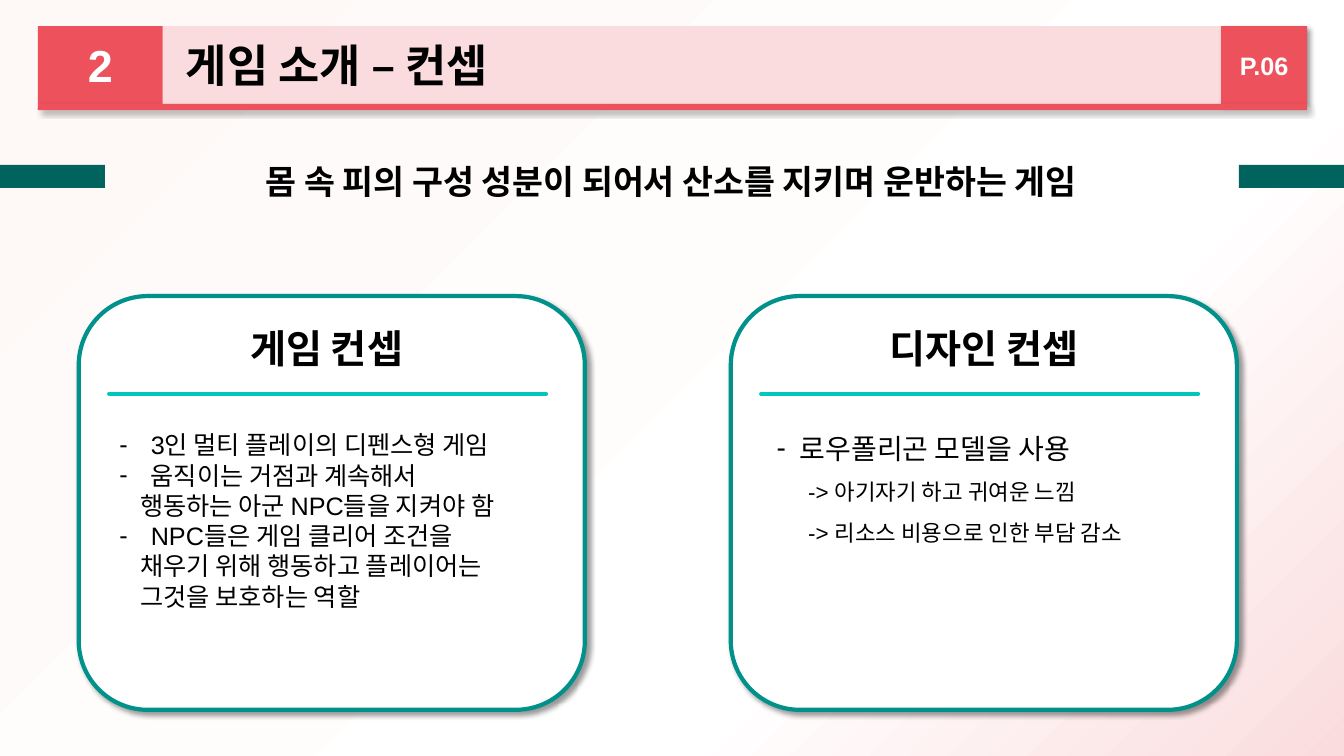
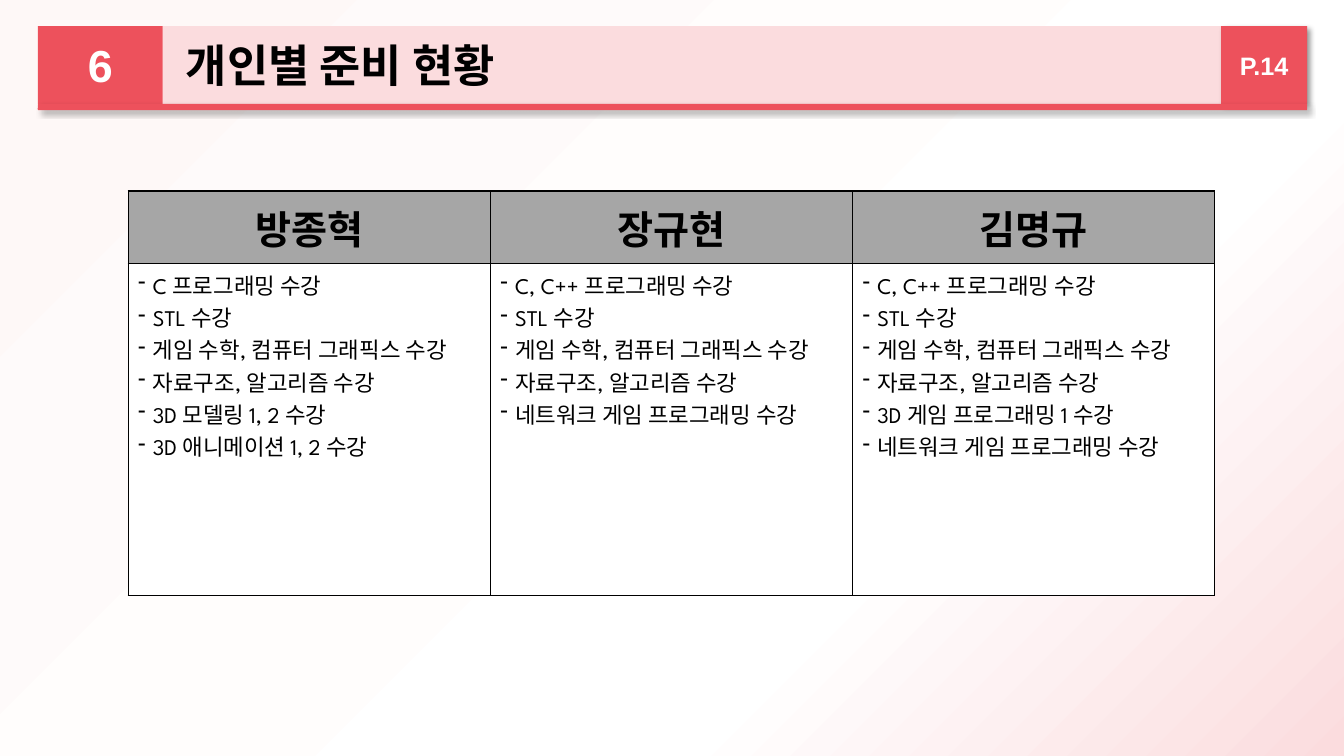
"""Build the game concept slide and the preparation table slide."""
from copy import deepcopy
from lxml.etree import SubElement
from pptx import Presentation
from pptx.dml.color import RGBColor
from pptx.enum.shapes import MSO_CONNECTOR, MSO_SHAPE
from pptx.enum.text import MSO_ANCHOR, MSO_AUTO_SIZE, PP_ALIGN
from pptx.oxml.ns import qn
from pptx.util import Pt

PX = 9525
RECT, ROUND = MSO_SHAPE.RECTANGLE, MSO_SHAPE.ROUNDED_RECTANGLE
STRAIGHT = MSO_CONNECTOR.STRAIGHT
LEFT, MID = PP_ALIGN.LEFT, PP_ALIGN.CENTER
FIXED = MSO_AUTO_SIZE.NONE
TOP, CENTER = MSO_ANCHOR.TOP, MSO_ANCHOR.MIDDLE
hue = RGBColor.from_string

RED, PINK, GREEN, TEAL, AQUA = "ED515C", "FBDCDE", "00635D", "00928A", "00C6BB"
BLACK, WHITE, GRAY = "000000", "FFFFFF", "A6A6A6"
FADE = [(0, "FEF8F7"), (0.68, WHITE), (1, PINK)]
FRAME = {"word_wrap": True, "auto_size": FIXED, "vertical_anchor": TOP}
BAND = {**FRAME, "vertical_anchor": CENTER}
HEAD = {"name": "Arial", "size": Pt(32), "bold": True}
TEXT = {"name": "Arial", "size": Pt(18), "bold": False}
CELL = {"name": "League Spartan", "size": Pt(16), "bold": False}


def block(slide, kind, box, fill, line=None, shade=False):
    shape = slide.shapes.add_shape(kind, *[n * PX for n in box])
    shape.shadow.inherit = False
    shape.fill.solid()
    shape.fill.fore_color.rgb = hue(fill)
    if line:
        shape.line.color.rgb = hue(line)
        shape.line.width = Pt(3)
    else:
        shape.line.fill.background()
    if shade:
        glow = SubElement(shape.element.spPr.find(qn("a:effectLst")), qn("a:outerShdw"),
                          blurRad="50800", dist="38100", dir="2700000", algn="tl", rotWithShape="0")
        tone = SubElement(glow, qn("a:srgbClr"), val=BLACK)
        SubElement(tone, qn("a:alpha"), val="40000")
    return shape


def write(frame, lines, look, form, align=LEFT, color=BLACK):
    for key, val in form.items():
        setattr(frame, key, val)
    for i, (text, left, hang, size, gap) in enumerate(lines):
        par = frame.paragraphs[0] if i == 0 else frame.add_paragraph()
        props = par._p.get_or_add_pPr()
        props.set("marL", str(left * PX))
        props.set("indent", str(-hang * PX))
        if hang:
            SubElement(props, qn("a:buChar"), char="-")
        else:
            SubElement(props, qn("a:buNone"))
        for key, val in {"alignment": align, "line_spacing": gap, "space_before": Pt(0)}.items():
            setattr(par, key, val)
        run = par.add_run()
        run.text = text
        for key, val in {**look, "size": Pt(size)}.items():
            setattr(run.font, key, val)
        run.font.color.rgb = hue(color)


deck = Presentation()
deck.slide_width, deck.slide_height = 1280 * PX, 720 * PX
master = deck.slide_master
back = master.background.fill
back.gradient()
back.gradient_angle = 315
stops = master.element.find(".//" + qn("a:gsLst"))
stops.append(deepcopy(stops[-1]))
for stop, (pos, tone) in zip(back.gradient_stops, FADE):
    stop.position = pos
    stop.color.rgb = hue(tone)

pages = []
for layout, part, name, page in [(3, "2", "게임 소개 – 컨셉", "P.06"),
                                 (5, "6", "개인별 준비 현황", "P.14")]:
    slide = deck.slides.add_slide(deck.slide_layouts[layout])
    pages.append(slide)
    title = slide.shapes.title
    for key, val in zip(("left", "top", "width", "height"), (155, 25, 1090, 74)):
        setattr(title, key, val * PX)
    title.fill.solid()
    title.fill.fore_color.rgb = hue(PINK)
    write(title.text_frame, [(name, 0, 0, 32, 1.0)], HEAD, {**BAND, "margin_left": 22 * PX})
    for label, left, wide, size, shade in [(page, 1163, 82, 18, True), (part, 36, 119, 32, False)]:
        tab = block(slide, RECT, (left, 25, wide, 74), RED, shade=shade)
        write(tab.text_frame, [(label, 0, 0, size, 1.0)], HEAD, BAND, MID, WHITE)
    block(slide, ROUND, (36, 99, 1209, 6), RED, shade=True)

first, last = pages
for left in (0, 1180):
    block(first, RECT, (left, 157, 100, 22), GREEN)

CARDS = [
    (75, 181, 104, "게임 컨셉", [
        ("3인 멀티 플레이의 디펜스형 게임", 30, 30, 18, 1.5),
        ("움직이는 거점과 계속해서", 30, 30, 18, 1.0),
        ("행동하는 아군 NPC들을 지켜야 함", 20, 0, 18, 1.0),
        ("NPC들은 게임 클리어 조건을", 30, 30, 18, 1.0),
        ("채우기 위해 행동하고 플레이어는", 20, 0, 18, 1.0),
        ("그것을 보호하는 역할", 20, 0, 18, 1.0)]),
    (696, 807, 730, "디자인 컨셉", [
        ("로우폴리곤 모델을 사용", 22, 22, 20, 1.5),
        ("-> 아기자기 하고 귀여운 느낌", 30, 0, 16, 1.5),
        ("-> 리소스 비용으로 인한 부담 감소", 30, 0, 16, 1.5)]),
]
labels = [("몸 속 피의 구성 성분이 되어서 산소를 지키며 운반하는 게임", (62, 149, 1154, 48), 24)]
for i, (left, head, inner, name, lines) in enumerate(CARDS):
    block(first, ROUND, (left, 282, 482, 394), WHITE, TEAL, True)
    rule = first.shapes.add_connector(
        STRAIGHT, *[n * PX for n in (left + 29, 375, left + 445, 375)])
    rule.line.color.rgb = hue(AQUA)
    rule.line.width = Pt(3)
    rule.line._get_or_add_ln().set("cap", "rnd")
    SubElement(rule.element.spPr, qn("a:effectLst"))
    labels.append((name, (head, 304, 260, 55), 28))
    body = first.placeholders[i + 1]
    for key, val in zip(("left", "top", "width", "height"), (inner, 390, 416, 199)):
        setattr(body, key, val * PX)
    write(body.text_frame, lines, TEXT, FRAME)
    body.element.getparent().append(body.element)

for text, box, size in labels:
    label = first.shapes.add_textbox(*[n * PX for n in box])
    write(label.text_frame, [(text, 0, 0, size, 1.0)], HEAD, FRAME, MID)

CORE = ["STL 수강", "게임 수학, 컴퓨터 그래픽스 수강", "자료구조, 알고리즘 수강"]
NET = "네트워크 게임 프로그래밍 수강"
TEAM = {
    "방종혁": ["C 프로그래밍 수강", *CORE, "3D 모델링 1, 2 수강", "3D 애니메이션 1, 2 수강"],
    "장규현": ["C, C++ 프로그래밍 수강", *CORE, NET],
    "김명규": ["C, C++ 프로그래밍 수강", *CORE, "3D 게임 프로그래밍 1 수강", NET],
}
grid = last.shapes.add_table(2, 3, *[n * PX for n in (122, 182, 1035, 385)]).table
grid.horz_banding = False
for row, tall in zip(grid.rows, (69, 316)):
    row.height = tall * PX
for col, (name, tasks) in enumerate(TEAM.items()):
    grid.columns[col].width = 345 * PX
    top, low = grid.cell(0, col), grid.cell(1, col)
    for cell, tone in ((top, GRAY), (low, WHITE)):
        props = cell._tc.get_or_add_tcPr()
        for side in ("a:lnL", "a:lnR", "a:lnT", "a:lnB"):
            edge = SubElement(props, qn(side), w="12700")
            SubElement(SubElement(edge, qn("a:solidFill")), qn("a:srgbClr"), val=BLACK)
        cell.fill.solid()
        cell.fill.fore_color.rgb = hue(tone)
    top.vertical_anchor = CENTER
    write(top.text_frame, [(name, 0, 0, 28, 1.0)], {**CELL, "bold": True}, {}, MID)
    write(low.text_frame, [(task, 14, 14, 16, 1.0) for task in tasks], CELL, {})

deck.save("out.pptx")
